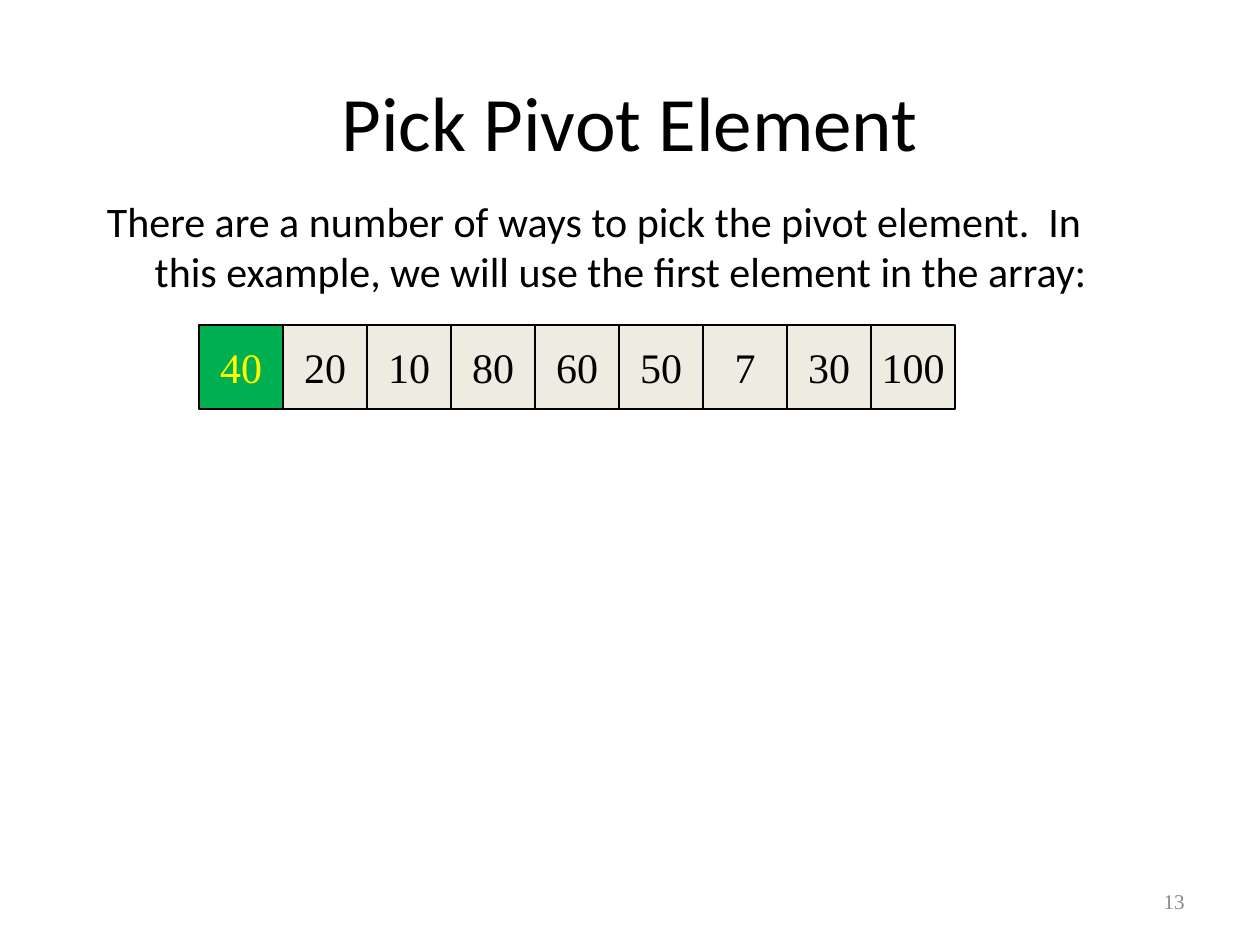
import dataclasses

import pptx
import pptx.dml.color
import pptx.enum.shapes
import pptx.enum.text
import pptx.util

Inches = pptx.util.Inches
Pt = pptx.util.Pt
RGBColor = pptx.dml.color.RGBColor
Align = pptx.enum.text.PP_ALIGN
Anchor = pptx.enum.text.MSO_ANCHOR

BLACK = RGBColor(0x00, 0x00, 0x00)
GREEN = RGBColor(0x00, 0xB0, 0x50)
CREAM = RGBColor(0xEE, 0xEC, 0xE1)
YELLOW = RGBColor(0xFF, 0xFF, 0x00)
GRAY = RGBColor(0x89, 0x89, 0x89)
SANS = "Calibri"
SERIF = "Times New Roman"
SIDE = 2 / 3
LEFT = 1.58
TOP = 2.58


@dataclasses.dataclass
class Cell:
    value: int
    fill: RGBColor = CREAM
    color: RGBColor = BLACK


def write(shape, text: str, *, size: float = 24, font: str = SERIF,
          color: RGBColor = BLACK, align=Align.CENTER, anchor=Anchor.MIDDLE,
          wrap: bool = True, hang: float = 0, before: float = 0) -> None:
    """Fill a shape with one formatted paragraph."""
    frame = shape.text_frame
    frame.word_wrap = wrap
    frame.vertical_anchor = anchor
    para = frame.paragraphs[0]
    para.alignment = align
    para.space_before = Pt(before)
    if hang:
        props = para._p.get_or_add_pPr()
        props.set("marL", str(Inches(hang)))
        props.set("indent", str(-Inches(hang)))
    run = para.add_run()
    run.text = text
    run.font.size = Pt(size)
    run.font.name = font
    run.font.color.rgb = color


def add_box(slide, left: float, top: float, width: float, height: float):
    """Add a text box placed in inches."""
    return slide.shapes.add_textbox(
        Inches(left), Inches(top), Inches(width), Inches(height))


def draw_cell(slide, cell: Cell, index: int) -> None:
    """Draw one array cell at its place in the row."""
    shape = slide.shapes.add_shape(
        pptx.enum.shapes.MSO_SHAPE.RECTANGLE,
        Inches(LEFT + index * SIDE), Inches(TOP), Inches(SIDE), Inches(SIDE))
    shape.shadow.inherit = False
    shape.fill.solid()
    shape.fill.fore_color.rgb = cell.fill
    shape.line.color.rgb = BLACK
    shape.line.width = Pt(0.75)
    write(shape, str(cell.value), color=cell.color, wrap=False)


def main() -> None:
    """Build and save the slide."""
    deck = pptx.Presentation()
    deck.slide_width = Inches(10)
    deck.slide_height = Inches(7.5)
    slide = deck.slides.add_slide(deck.slide_layouts[6])

    write(add_box(slide, 0.75, 0.33, 8.5, 1.25), "Pick Pivot Element",
          size=44, font=SANS)
    write(add_box(slide, 0.75, 1.5, 8.5, 4.5),
          "There are a number of ways to pick the pivot element.  In this "
          "example, we will use the first element in the array:",
          font=SANS, align=Align.LEFT, anchor=Anchor.TOP,
          hang=0.38, before=4.8)

    pivot = Cell(40, GREEN, YELLOW)
    others = [Cell(value) for value in (20, 10, 80, 60, 50, 7, 30, 100)]
    for index, cell in enumerate([pivot, *others]):
        draw_cell(slide, cell, index)

    write(add_box(slide, 7.17, 6.95, 2.33, 0.4), "13",
          size=12, color=GRAY, align=Align.RIGHT)
    deck.save("out.pptx")


main()
